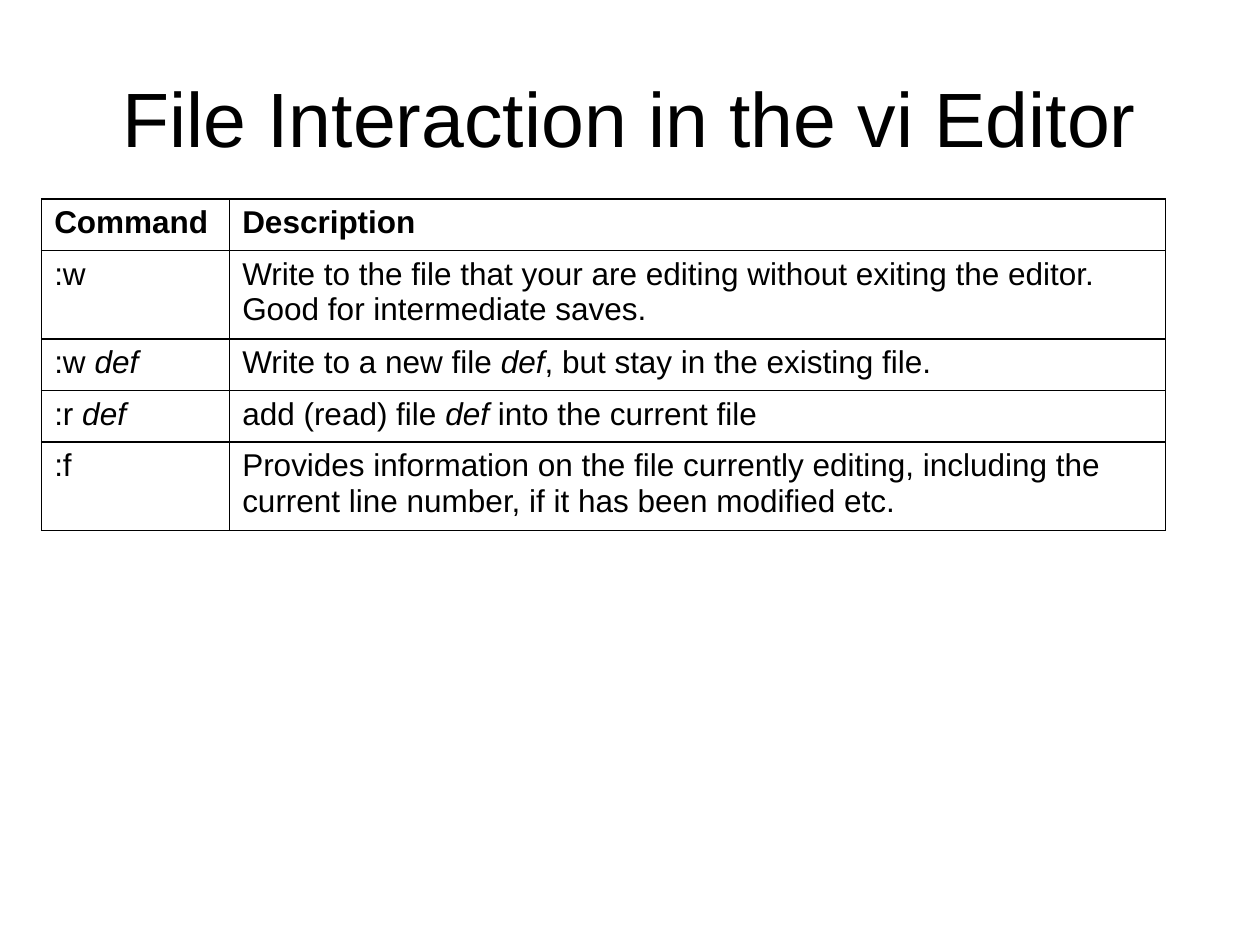
from dataclasses import dataclass

from lxml import etree
from pptx import Presentation
from pptx.dml.color import RGBColor
from pptx.enum.text import MSO_ANCHOR, PP_ALIGN
from pptx.oxml.ns import qn
from pptx.util import Cm, Pt

CENTER = PP_ALIGN.CENTER
MIDDLE = MSO_ANCHOR.MIDDLE
TITLE_ONLY = 5


@dataclass(frozen=True)
class Theme:
    """Colours, type sizes and line width of the slide."""
    font: str = "Arial"
    ink: str = "000000"
    title_size: int = 44
    body_size: int = 18
    border: int = 1


THEME = Theme()
TITLE_BOX = (1.27, 0.76, 22.86, 3.18)
TABLE_BOX = (0.84, 4.01, 22.65, 6.68)
COMMAND_WIDTH = 3.79
LINE_HEIGHT, TWO_LINE_HEIGHT = 1.04, 1.78
COMMANDS = [
    ("Command", "Description", LINE_HEIGHT),
    (":w", "Write to the file that your are editing without exiting the editor.  "
     "Good for intermediate saves.", TWO_LINE_HEIGHT),
    (":w *def*", "Write to a new file *def*, but stay in the existing file.", LINE_HEIGHT),
    (":r *def*", "add (read) file *def* into the current file", LINE_HEIGHT),
    (":f", "Provides information on the file currently editing, including the "
     "current line number, if it has been modified etc.", TWO_LINE_HEIGHT),
]


def set_font(r, size, **extra):
    """Apply the theme font and any extra font values to a run."""
    values = {"name": THEME.font, "size": Pt(size), **extra}
    for name, value in values.items():
        setattr(r.font, name, value)
    r.font.color.rgb = RGBColor.from_string(THEME.ink)


def add_title(s, box, text):
    """Fill and place the title placeholder."""
    sp = s.shapes.title
    for name, value in zip(("left", "top", "width", "height"), box):
        setattr(sp, name, Cm(value))
    tf = sp.text_frame
    tf.vertical_anchor = MIDDLE
    p = tf.paragraphs[0]
    p.alignment = CENTER
    r = p.add_run()
    r.text = text
    set_font(r, THEME.title_size)


def set_borders(cell):
    """Draw a solid line on each side of a cell."""
    tc_pr = cell._tc.get_or_add_tcPr()
    for i, side in enumerate(("a:lnL", "a:lnR", "a:lnT", "a:lnB")):
        ln = etree.Element(qn(side), w=str(Pt(THEME.border)))
        fill = etree.SubElement(ln, qn("a:solidFill"))
        etree.SubElement(fill, qn("a:srgbClr"), val=THEME.ink)
        tc_pr.insert(i, ln)


def fill_cell(cell, text, bold):
    """Write text into a cell, with the parts between asterisks in italics."""
    cell.fill.background()
    set_borders(cell)
    p = cell.text_frame.paragraphs[0]
    for i, part in enumerate(text.split("*")):
        if part:
            r = p.add_run()
            r.text = part
            set_font(r, THEME.body_size, bold=bold, italic=i % 2 == 1)


def add_command_table(s, box, rows):
    """Build the two-column command table in the given box."""
    table = s.shapes.add_table(len(rows), 2, *map(Cm, box)).table
    table.horz_banding = False
    table.columns[0].width = Cm(COMMAND_WIDTH)
    table.columns[1].width = Cm(box[2] - COMMAND_WIDTH)
    for i, (command, description, height) in enumerate(rows):
        table.rows[i].height = Cm(height)
        for j, text in enumerate((command, description)):
            fill_cell(table.cell(i, j), text, bold=i == 0)


def main():
    """Create the presentation and save it."""
    prs = Presentation()
    prs.slide_width, prs.slide_height = Cm(25.4), Cm(19.05)
    s = prs.slides.add_slide(prs.slide_layouts[TITLE_ONLY])
    add_title(s, TITLE_BOX, "File Interaction in the vi Editor")
    add_command_table(s, TABLE_BOX, COMMANDS)
    prs.save("out.pptx")


if __name__ == "__main__":
    main()
